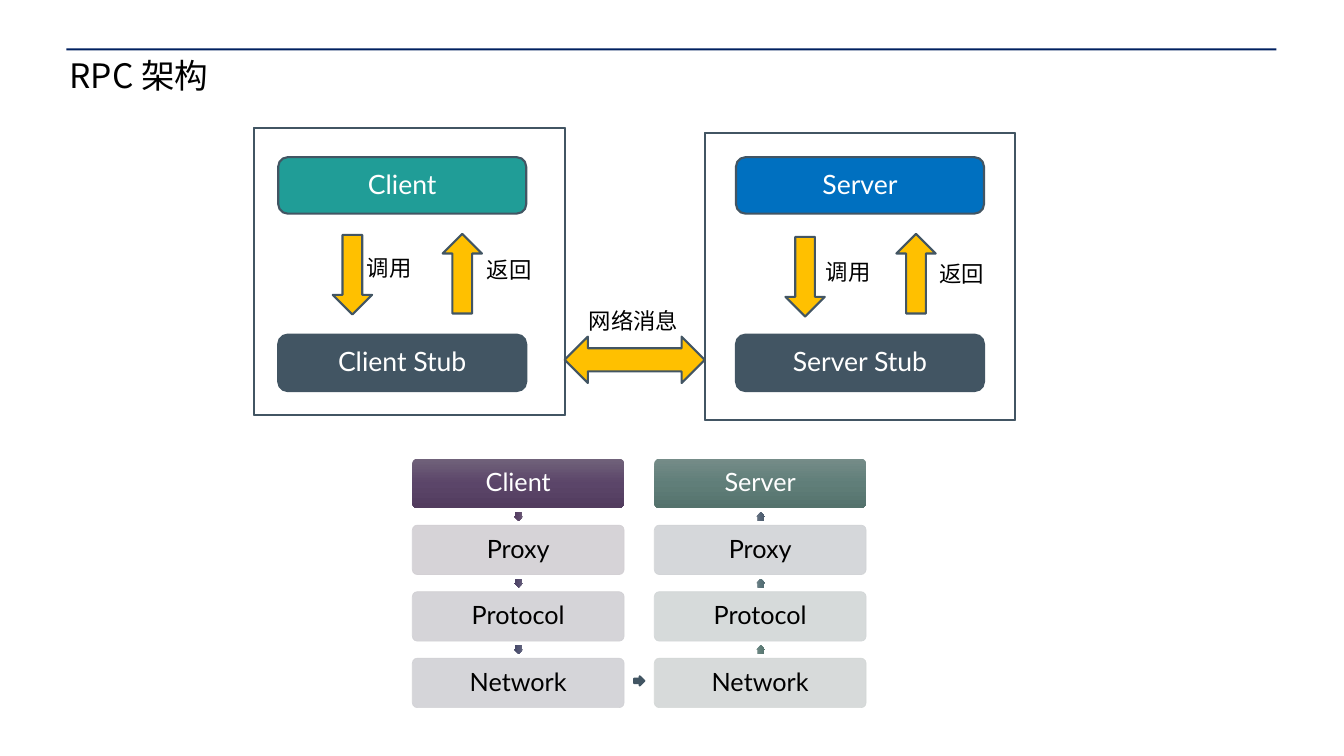
from copy import deepcopy

from lxml.etree import SubElement
from pptx import Presentation
from pptx.dml.color import RGBColor
from pptx.enum.shapes import MSO_SHAPE
from pptx.enum.text import MSO_ANCHOR, PP_ALIGN
from pptx.oxml.ns import qn
from pptx.util import Pt

PX = 9144  # 100 px to the inch

NAVY = RGBColor(0x00, 0x20, 0x60)
SLATE = RGBColor(0x42, 0x55, 0x63)
TEAL = RGBColor(0x20, 0x9D, 0x97)
BLUE = RGBColor(0x00, 0x70, 0xC0)
AMBER = RGBColor(0xFF, 0xC0, 0x00)
BLACK = RGBColor(0x00, 0x00, 0x00)
WHITE = RGBColor(0xFF, 0xFF, 0xFF)
PLUM = [RGBColor.from_string(c) for c in ("70627A", "5B4569", "523C5E")]
VIOLET = [RGBColor.from_string(c) for c in ("6B657E", "544A6D", "4A4162")]
INDIGO = [RGBColor.from_string(c) for c in ("696B81", "505372", "454866")]
STEEL = [RGBColor.from_string(c) for c in ("6D7785", "556476", "4A596A")]
SEA = [RGBColor.from_string(c) for c in ("718489", "5A747A", "4F686E")]
SAGE = [RGBColor.from_string(c) for c in ("758C88", "607E79", "54726C")]
CLIENT_TINTS = [RGBColor.from_string(c) for c in ("D2CFD3", "D1D0D4", "D1D1D5")]
SERVER_TINTS = [RGBColor.from_string(c) for c in ("D1D3D6", "D2D6D7", "D3D7D6")]

LATIN, CJK = "Lato", "Noto Sans CJK SC"

# Content
TITLE = "RPC 架构"
MESSAGE = "网络消息"
SIDES = [
    dict(name="Client", color=TEAL, x=276, frame=(252, 127),
         call_arrow=(330, 233), return_arrow=(439, 232),
         labels=[("调用", 364, 255), ("返回", 483, 257)]),
    dict(name="Server", color=BLUE, x=730, frame=(699, 132),
         call_arrow=(779, 235), return_arrow=(889, 232),
         labels=[("调用", 819, 259), ("返回", 932, 261)]),
]
LAYERS = ["Proxy", "Protocol", "Network"]
STACKS = [
    dict(name="Client", x=409, head=PLUM, tints=CLIENT_TINTS,
         arrows=[PLUM, VIOLET, INDIGO], rotation=90),
    dict(name="Server", x=649, head=SAGE, tints=SERVER_TINTS,
         arrows=[STEEL, SEA, SAGE], rotation=270),
]
STACK_TOP, STACK_STEP = 455, 66
LAYER_W, LAYER_H, STEP_ARROW = 210, 49, 9

prs = Presentation()
prs.slide_width, prs.slide_height = 1333 * PX, 750 * PX
slide = prs.slides.add_slide(prs.slide_layouts[6])


def add_shape(kind, x, y, w, h, fill, line=None, line_width=1.5):
    shape = slide.shapes.add_shape(kind, x * PX, y * PX, w * PX, h * PX)
    shape.shadow.inherit = False
    if isinstance(fill, list):
        shape.fill.gradient()
        shape.fill.gradient_angle = 270  # top to bottom
        stop_list = shape.element.spPr.find(".//" + qn("a:gsLst"))
        stop_list.insert(1, deepcopy(stop_list[0]))
        for stop, position, color in zip(shape.fill.gradient_stops, (0, 0.5, 1), fill):
            stop.position, stop.color.rgb = position, color
    else:
        shape.fill.solid()
        shape.fill.fore_color.rgb = fill
    if line is None:
        shape.line.fill.background()
    else:
        shape.line.color.rgb = line
        shape.line.width = Pt(line_width)
    return shape


def write(shape, text, size, color, font=LATIN, align=PP_ALIGN.CENTER, inset=0):
    frame = shape.text_frame
    frame.margin_left = frame.margin_right = inset * PX
    frame.margin_top = frame.margin_bottom = inset * PX
    paragraph = frame.paragraphs[0]
    paragraph.text = text
    paragraph.alignment = align
    paragraph.line_spacing = 0.9
    paragraph.font.size = Pt(size)
    paragraph.font.color.rgb = color
    paragraph.font.name = font
    if font == CJK:
        defaults = paragraph.font._element if hasattr(paragraph.font, "_element") else paragraph.font._rPr
        SubElement(defaults, qn("a:ea")).set("typeface", font)


def add_text(text, x, y, w, h, size, font=LATIN, wrap=False):
    box = slide.shapes.add_textbox(x * PX, y * PX, w * PX, h * PX)
    box.text_frame.word_wrap = wrap
    box.text_frame.vertical_anchor = MSO_ANCHOR.TOP
    write(box, text, size, BLACK, font, PP_ALIGN.LEFT)


def make_translucent(shape, percent):
    for color in shape.element.spPr.iter(qn("a:srgbClr")):
        SubElement(color, qn("a:alpha")).set("val", str(percent * 1000))


# Title and rule
add_shape(MSO_SHAPE.RECTANGLE, 66, 48, 1200, 2, NAVY)
add_text(TITLE, 69, 59, 1199, 93, 24, CJK, wrap=True)

# Client and server with their stubs
for side in SIDES:
    blocks = [(side["name"], 156, side["color"]), (side["name"] + " Stub", 332, SLATE)]
    for text, y, color in blocks:
        block = add_shape(MSO_SHAPE.ROUNDED_RECTANGLE, side["x"], y, 246, 56, color, SLATE)
        block.text_frame.vertical_anchor = MSO_ANCHOR.MIDDLE
        write(block, text, 19, WHITE, inset=5)
    add_shape(MSO_SHAPE.DOWN_ARROW, *side["call_arrow"], 39, 79, AMBER, SLATE)
    add_shape(MSO_SHAPE.UP_ARROW, *side["return_arrow"], 39, 79, AMBER, SLATE)
    for text, x, y in side["labels"]:
        add_text(text, x, y, 100, 100, 16)

# Network message between the two sides
add_shape(MSO_SHAPE.LEFT_RIGHT_ARROW, 560, 334, 139, 46, AMBER, SLATE)
for side in SIDES:
    outline = add_shape(MSO_SHAPE.FRAME, *side["frame"], 308, 285, SLATE, SLATE)
    outline.adjustments[0] = 0
add_text(MESSAGE, 584, 308, 100, 26, 16)

# Layer stacks
for stack in STACKS:
    fills = [stack["head"]] + stack["tints"]
    for row, (text, fill) in enumerate(zip([stack["name"]] + LAYERS, fills)):
        y = STACK_TOP + row * STACK_STEP
        is_head = row == 0
        layer = add_shape(MSO_SHAPE.ROUNDED_RECTANGLE, stack["x"], y, LAYER_W, LAYER_H,
                          fill, None if is_head else fill, 0.5)
        layer.adjustments[0] = 0.1
        if not is_head:
            make_translucent(layer, 90)
        layer.text_frame.vertical_anchor = MSO_ANCHOR.MIDDLE
        write(layer, text, 18, WHITE if is_head else BLACK, inset=3)
    for row, fill in enumerate(stack["arrows"]):
        arrow = add_shape(MSO_SHAPE.RIGHT_ARROW, stack["x"] + (LAYER_W - STEP_ARROW) // 2 + 1,
                          STACK_TOP + LAYER_H + 4 + row * STACK_STEP,
                          STEP_ARROW, STEP_ARROW, fill)
        arrow.rotation = stack["rotation"]
        arrow.adjustments[0] = 0.67

# Hop from the client network to the server network
add_shape(MSO_SHAPE.RIGHT_ARROW, 629, 671, 10, 9, SLATE, SLATE)

prs.save("out.pptx")
